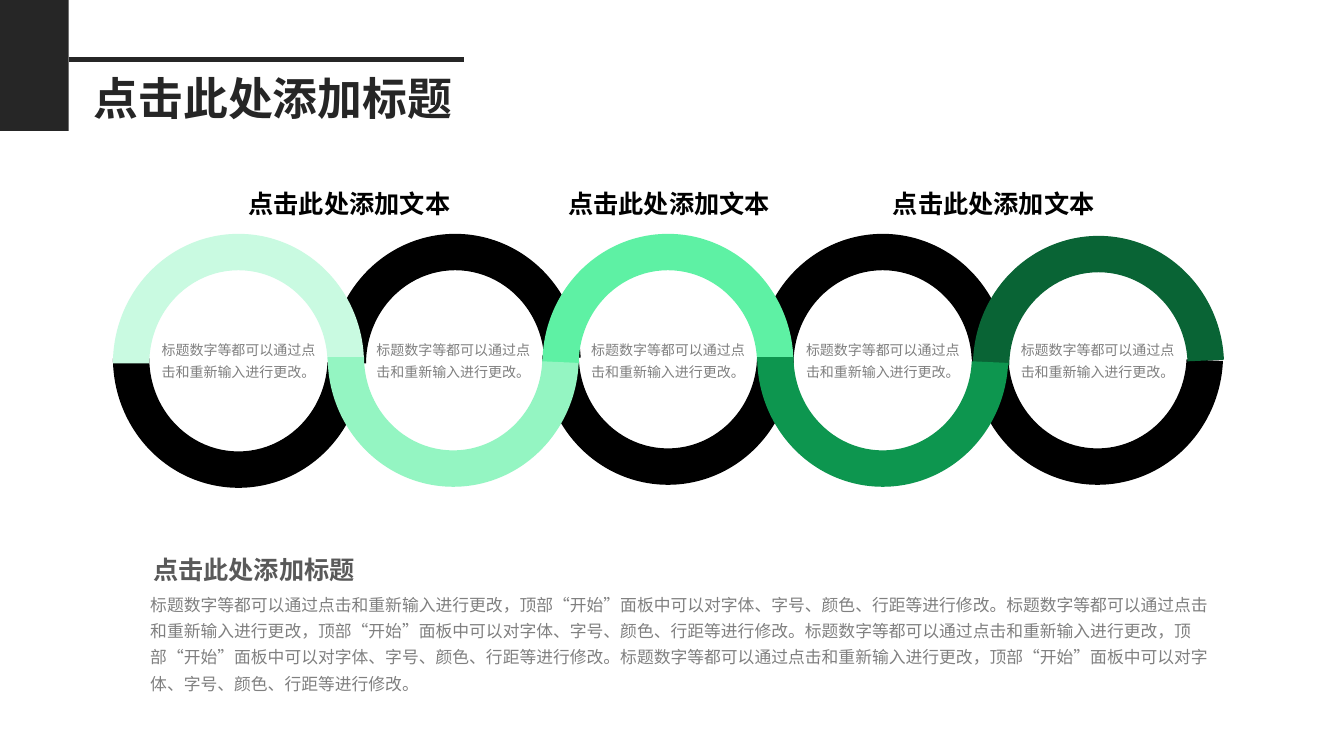
from pptx import Presentation
from pptx.dml.color import RGBColor
from pptx.enum.lang import MSO_LANGUAGE_ID as LANG
from pptx.enum.shapes import MSO_CONNECTOR, MSO_SHAPE
from pptx.enum.text import MSO_AUTO_SIZE, PP_ALIGN
from pptx.oxml.ns import qn
from pptx.util import Inches, Pt
from lxml.etree import SubElement

BLACK = RGBColor(0x00, 0x00, 0x00)
CHARCOAL = RGBColor(0x26, 0x26, 0x26)
DARK_GRAY = RGBColor(0x59, 0x59, 0x59)
GRAY = RGBColor(0x80, 0x80, 0x80)
MINT = RGBColor(0xC9, 0xFA, 0xE1)
LIGHT_GREEN = RGBColor(0x94, 0xF5, 0xC2)
BRIGHT_GREEN = RGBColor(0x5E, 0xF1, 0xA4)
GREEN = RGBColor(0x0D, 0x96, 0x4F)
DEEP_GREEN = RGBColor(0x09, 0x64, 0x35)

FONT = "League Spartan"
TITLE = "点击此处添加标题"
HEADING = "点击此处添加文本"
CAPTION = "标题数字等都可以通过点击和重新输入进行更改。"
SENTENCE = ("标题数字等都可以通过点击和重新输入进行更改，"
            "顶部“开始”面板中可以对字体、字号、颜色、行距等进行修改。")

# Chain grid, in inches: one column per ring
CHAIN_LEFT, COLUMN = 1.12, 2.13
RING_W, RING_H = 2.49, 2.57
CAPTION_INDENT = 0.38
HEADING_LEFTS = (2.37, 5.54, 8.76)

# Half rings from back to front: column, nudge right, top, is lower half, colour
HALF_RINGS = (
    (1, 0.02, 2.32, False, BLACK),
    (3, 0, 2.32, False, BLACK),
    (0, 0, 2.27, True, BLACK),
    (2, 0, 2.24, True, BLACK),
    (4, 0, 2.24, True, BLACK),
    (0, 0, 2.32, False, MINT),
    (2, 0, 2.32, False, BRIGHT_GREEN),
    (4, 0.01, 2.34, False, DEEP_GREEN),
    (3, 0, 2.26, True, GREEN),
    (1, 0, 2.26, True, LIGHT_GREEN),
)


def column_left(column):
    return CHAIN_LEFT + column * COLUMN


def add_filled(slide, kind, left, top, width, height, color):
    sp = slide.shapes.add_shape(kind, Inches(left), Inches(top),
                                Inches(width), Inches(height))
    sp.shadow.inherit = False
    sp.fill.solid()
    sp.fill.fore_color.rgb = color
    sp.line.fill.background()
    return sp


def add_half_ring(slide, left, top, lower, color):
    sp = add_filled(slide, MSO_SHAPE.BLOCK_ARC, left, top, RING_W, RING_H, color)
    for i, value in enumerate((108, 214.44, 0.145)):
        sp.adjustments[i] = value
    if lower:
        sp.element.spPr.find(qn("a:xfrm")).set("flipV", "1")


def add_rule(slide, left, right, y, color, weight):
    line = slide.shapes.add_connector(MSO_CONNECTOR.STRAIGHT, Inches(left),
                                      Inches(y), Inches(right), Inches(y))
    line.line.color.rgb = color
    line.line.width = Pt(weight)
    SubElement(line.element.spPr, qn("a:effectLst"))


def add_text(slide, text, box, size, color, bold=False, align=PP_ALIGN.LEFT,
             wrap=True, spacing=None, insets=(0.07, 0.04)):
    """Add a one-paragraph text box; insets are horizontal and vertical."""
    tf = slide.shapes.add_textbox(*map(Inches, box)).text_frame
    tf.word_wrap = wrap
    tf.auto_size = MSO_AUTO_SIZE.SHAPE_TO_FIT_TEXT
    tf.margin_left = tf.margin_right = Inches(insets[0])
    tf.margin_top = tf.margin_bottom = Inches(insets[1])
    p = tf.paragraphs[0]
    p.alignment = align
    p.line_spacing = spacing
    p.font.name = FONT
    p.font.size = Pt(size)
    p.font.bold = bold
    p.font.color.rgb = color
    r = p.add_run()
    r.text = text
    r.font.language_id = LANG.SIMPLIFIED_CHINESE


def add_title(slide):
    add_filled(slide, MSO_SHAPE.RECTANGLE, 0, 0, 0.68, 1.3, CHARCOAL)
    add_rule(slide, 0.68, 4.6, 0.59, CHARCOAL, 3)
    add_text(slide, TITLE, (0.83, 0.65, 4.75, 0.64), 32, CHARCOAL, bold=True,
             insets=(0.1, 0.05))


def add_chain(slide):
    for column, nudge, top, lower, color in HALF_RINGS:
        add_half_ring(slide, column_left(column) + nudge, top, lower, color)
    for left in HEADING_LEFTS:
        add_text(slide, HEADING, (left, 1.83, 2.19, 0.38), 18, BLACK, bold=True,
                 align=PP_ALIGN.CENTER, wrap=False)
    for column in range(5):
        left = column_left(column) + CAPTION_INDENT
        add_text(slide, CAPTION, (left, 3.3, 1.73, 0.49), 10, GRAY,
                 align=PP_ALIGN.CENTER, spacing=1.3)


def add_summary(slide):
    add_text(slide, SENTENCE * 4, (1.42, 5.8, 10.72, 1.13), 12, GRAY, spacing=1.3)
    add_text(slide, TITLE, (1.42, 5.45, 2.22, 0.4), 18, DARK_GRAY, bold=True,
             wrap=False, insets=(0.1, 0.05))


def main():
    prs = Presentation()
    prs.slide_width, prs.slide_height = Inches(13.33), Inches(7.5)
    slide = prs.slides.add_slide(prs.slide_layouts[6])
    add_title(slide)
    add_chain(slide)
    add_summary(slide)
    prs.save("out.pptx")


if __name__ == "__main__":
    main()
